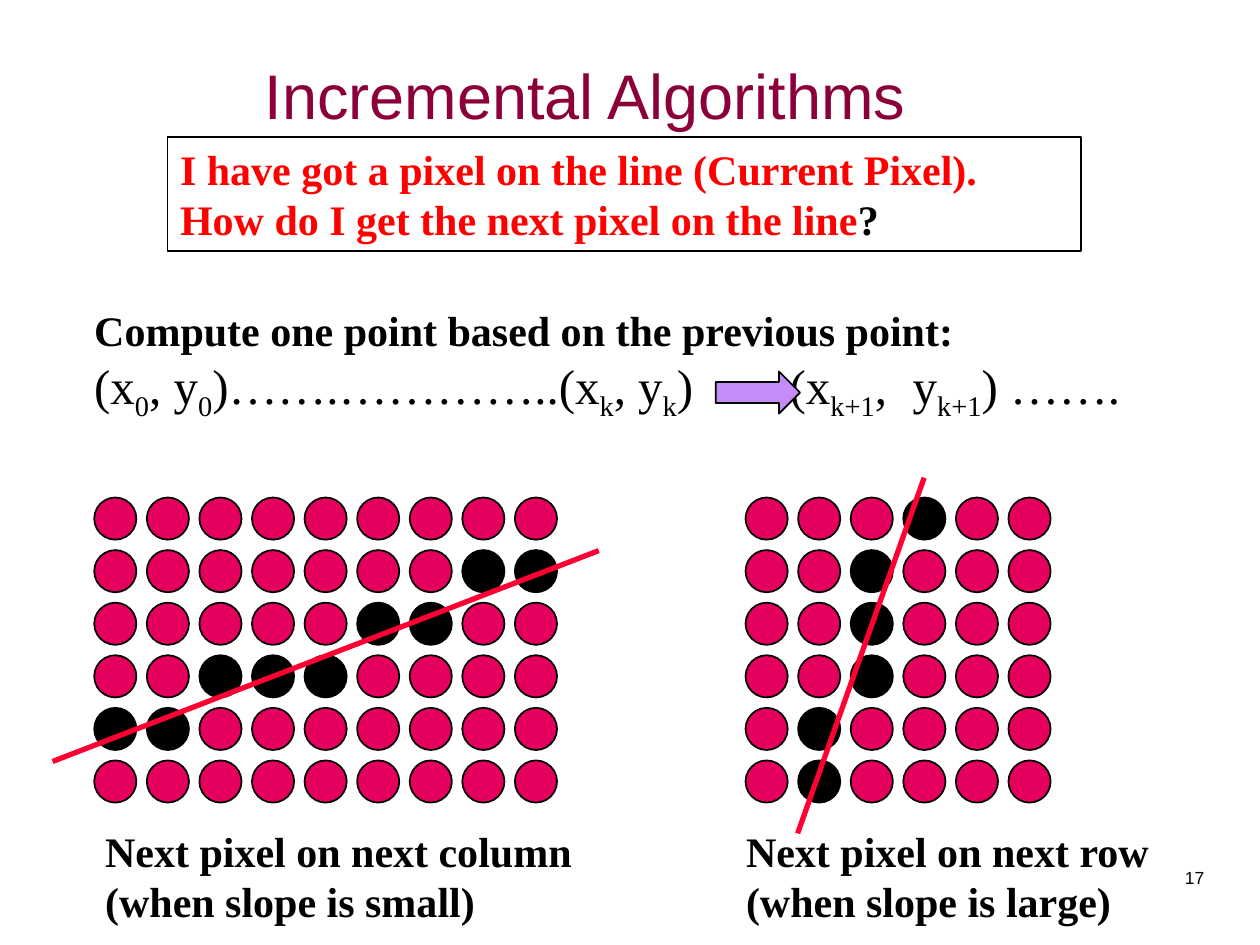
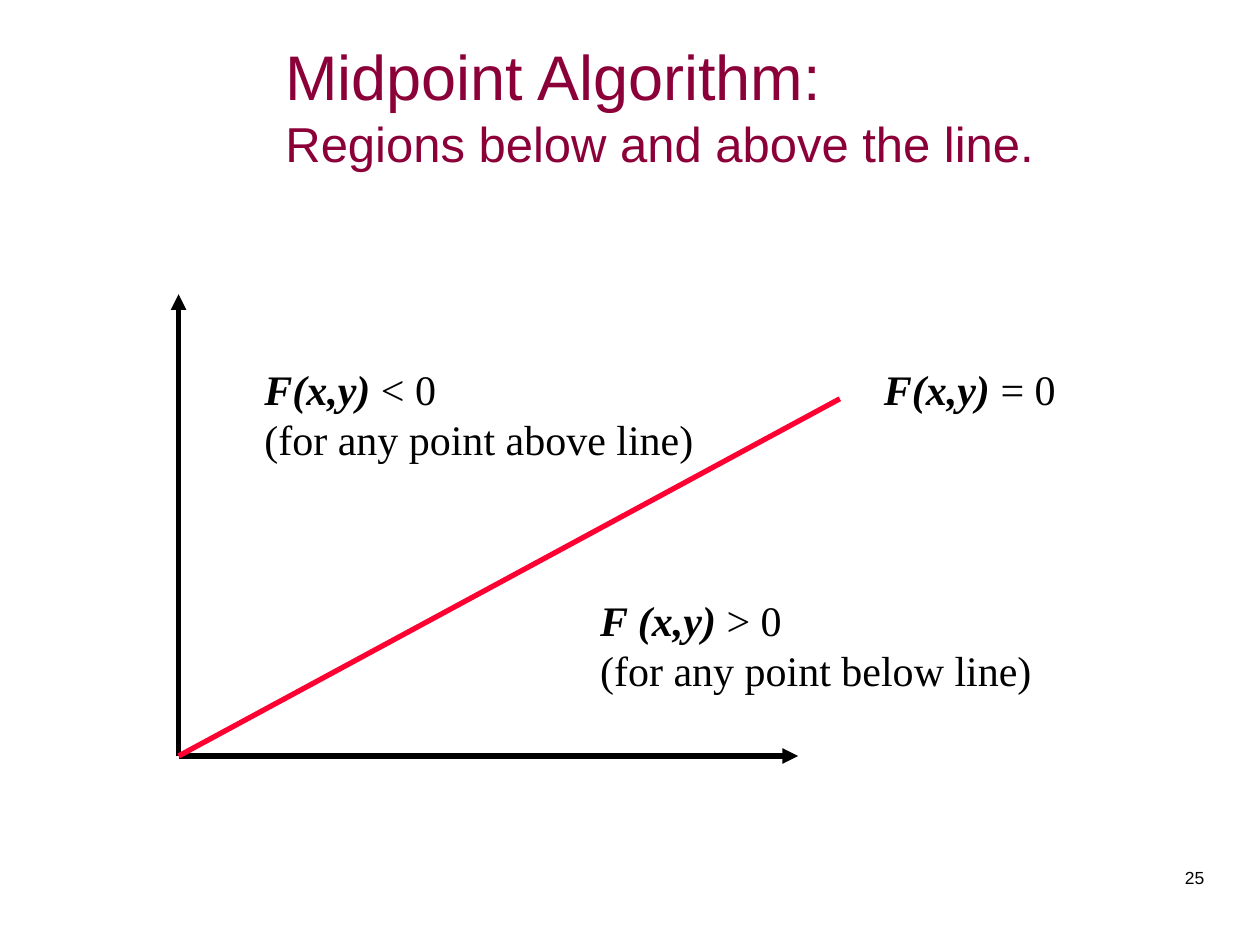
from lxml.etree import SubElement
from pptx import Presentation
from pptx.dml.color import RGBColor
from pptx.enum.shapes import MSO_CONNECTOR, MSO_SHAPE
from pptx.enum.text import MSO_ANCHOR, MSO_AUTO_SIZE, PP_ALIGN
from pptx.oxml.ns import qn
from pptx.util import Cm, Pt

BLACK = "000000"
TITLE_COLOR = "8C0039"
PIXEL_COLOR = "E4005C"
LINE_COLOR = "FF0033"
QUESTION_COLOR = "FF0000"
ARROW_COLOR = "C58BF9"
TITLE_FONT = "Arial"
BODY_FONT = "Times New Roman"

PIXEL_SIZE = 0.85
PIXEL_PITCH = 1.06
GRID_TOP = 10.03
CAPTION_TOP = 16.51

BOLD_ITALIC = {"bold": True, "italic": True}
SUBSCRIPT = {"baseline": -25000}


def color(hex_string):
    return RGBColor.from_string(hex_string)


def box(left, top, width, height):
    return Cm(left), Cm(top), Cm(width), Cm(height)


def add_run(paragraph, text, font=BODY_FONT, size=24, fill=BLACK,
            bold=False, italic=False, baseline=0):
    run = paragraph.add_run()
    run.text = text
    run.font.name = font
    run.font.size = Pt(size)
    run.font.bold = bold
    run.font.italic = italic
    run.font.color.rgb = color(fill)
    if baseline:
        run._r.get_or_add_rPr().set("baseline", str(baseline))


def write_text(frame, lines, wrap=True, anchor=MSO_ANCHOR.TOP,
               align=PP_ALIGN.LEFT, **text_format):
    """Write one paragraph per line; a line is a string or a list of (text, format) runs."""
    frame.word_wrap = wrap
    frame.auto_size = MSO_AUTO_SIZE.NONE
    frame.vertical_anchor = anchor
    for index, line in enumerate(lines):
        paragraph = frame.paragraphs[0] if index == 0 else frame.add_paragraph()
        paragraph.alignment = align
        runs = [(line, {})] if isinstance(line, str) else line
        for text, run_format in runs:
            add_run(paragraph, text, **{**text_format, **run_format})


def add_text(shapes, position, lines, **text_format):
    text_box = shapes.add_textbox(*box(*position))
    write_text(text_box.text_frame, lines, **text_format)
    return text_box


def add_tab_stops(paragraph, positions):
    tab_list = SubElement(paragraph._p.get_or_add_pPr(), qn("a:tabLst"))
    for position in positions:
        SubElement(tab_list, qn("a:tab"), pos=str(Cm(position)), algn="l")


def add_preset(shapes, preset, position, fill=None):
    shape = shapes.add_shape(preset, *box(*position))
    shape.shadow.inherit = False
    if fill:
        shape.fill.solid()
        shape.fill.fore_color.rgb = color(fill)
    else:
        shape.fill.background()
    shape.line.color.rgb = color(BLACK)
    shape.line.width = Pt(1)
    return shape


def add_line(shapes, start, end, stroke, arrow=False):
    ends = [Cm(value) for value in (*start, *end)]
    connector = shapes.add_connector(MSO_CONNECTOR.STRAIGHT, *ends)
    connector.line.color.rgb = color(stroke)
    connector.line.width = Pt(3)
    if arrow:
        SubElement(connector.line._get_or_add_ln(), qn("a:tailEnd"), type="triangle")
    SubElement(connector._element.spPr, qn("a:effectLst"))


def add_pixel_grid(shapes, left, columns, lit_columns):
    """Draw one row of pixels per entry of lit_columns, which names its black pixels."""
    for row, lit in enumerate(lit_columns):
        for column in range(columns):
            position = (left + column * PIXEL_PITCH, GRID_TOP + row * PIXEL_PITCH,
                        PIXEL_SIZE, PIXEL_SIZE)
            fill = BLACK if column in lit else PIXEL_COLOR
            add_preset(shapes, MSO_SHAPE.OVAL, position, fill)


def add_titled_slide(presentation, position, title_lines, number):
    slide = presentation.slides.add_slide(presentation.slide_layouts[5])
    title = slide.shapes.title
    title.left, title.top, title.width, title.height = box(*position)
    write_text(title.text_frame, title_lines, anchor=MSO_ANCHOR.MIDDLE,
               font=TITLE_FONT, size=36, fill=TITLE_COLOR)
    add_text(slide.shapes, (19.25, 17.35, 5.28, 1.27), [number],
             align=PP_ALIGN.RIGHT, font=TITLE_FONT, size=10)
    return slide


def add_point_sequence(shapes):
    large = {"size": 28}
    small = {**large, **SUBSCRIPT}
    points = [("(x", large), ("0", small), (", y", large), ("0", small),
              (")…….…………..(x", large), ("k", small), (", y", large), ("k", small),
              (")\t(x", large), ("k+1", small), (",\ty", large), ("k+1", small),
              (") …….", large)]
    heading = [("Compute one point based on the previous point:", {"bold": True})]
    text_box = add_text(shapes, (1.65, 6.02, 22.91, 2.62), [heading, points])
    add_tab_stops(text_box.text_frame.paragraphs[1], (14.02, 16.5))
    add_preset(shapes, MSO_SHAPE.RIGHT_ARROW, (14.43, 7.49, 1.7, 0.85), ARROW_COLOR)


def build_incremental_slide(presentation):
    slide = add_titled_slide(presentation, (5.08, 0.21, 17.78, 3.39),
                             ["Incremental Algorithms"], "17")
    add_point_sequence(slide.shapes)

    question = add_preset(slide.shapes, MSO_SHAPE.RECTANGLE, (3.38, 2.77, 18.42, 2.29))
    write_text(question.text_frame,
               ["I have got a pixel on the line (Current Pixel).",
                [("How do I get the next pixel on the line", {}), ("?", {"fill": BLACK})]],
               bold=True, fill=QUESTION_COLOR)

    small_slope = slide.shapes.add_group_shape().shapes
    add_pixel_grid(small_slope, 1.9, 9, [(), (7, 8), (5, 6), (2, 3, 4), (0, 1), ()])
    add_line(small_slope, (1.06, 15.35), (12.07, 11.1), LINE_COLOR)
    add_text(small_slope, (1.87, CAPTION_TOP, 9.91, 2.29),
             ["Next pixel on next column", "(when slope is small)"], wrap=False, bold=True)

    large_slope = slide.shapes.add_group_shape().shapes
    add_pixel_grid(large_slope, 15.03, 6, [(3,), (2,), (2,), (2,), (1,), (1,)])
    add_line(large_slope, (16.08, 16.8), (18.63, 9.63), LINE_COLOR)
    add_text(large_slope, (14.79, CAPTION_TOP, 8.64, 2.29),
             ["Next pixel on next row", "(when slope is large)"], wrap=False, bold=True)


def build_midpoint_slide(presentation):
    subtitle = [("Regions below and above the line.", {"size": 28})]
    slide = add_titled_slide(presentation, (5.5, 0.85, 16.3, 2.54),
                             ["Midpoint Algorithm:", subtitle], "25")
    diagram = slide.shapes.add_group_shape().shapes
    origin = (3.6, 15.24)
    add_line(diagram, origin, (16.09, 15.24), BLACK, arrow=True)
    add_line(diagram, origin, (3.6, 5.93), BLACK, arrow=True)
    add_line(diagram, origin, (16.93, 8.04), LINE_COLOR)

    regions = [
        ((11.85, 11.85, 9.74, 2.29), "F (x,y) ", "> 0", ["(for any point below line)"]),
        ((5.08, 7.2, 9.31, 2.29), "F(x,y) ", "< 0", ["(for any point above line)"]),
        ((17.57, 7.2, 4.87, 1.27), "F(x,y) ", "= 0", []),
    ]
    for position, function, relation, explanation in regions:
        formula = [(function, BOLD_ITALIC), (relation, {})]
        add_text(diagram, position, [formula, *explanation])


def main():
    presentation = Presentation()
    presentation.slide_width = Cm(25.4)
    presentation.slide_height = Cm(19.05)
    build_incremental_slide(presentation)
    build_midpoint_slide(presentation)
    presentation.save("out.pptx")


if __name__ == "__main__":
    main()
